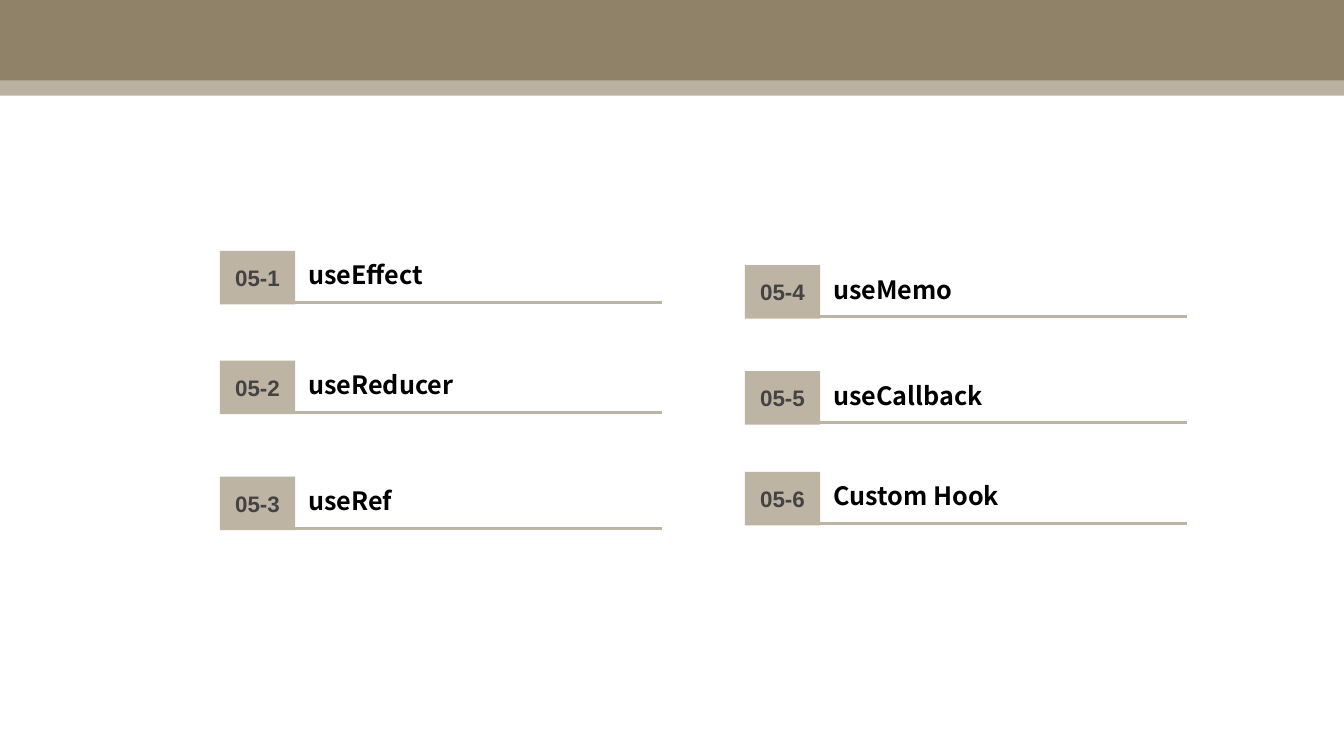
from dataclasses import dataclass

import pptx
import pptx.dml.color
import pptx.enum.shapes
import pptx.enum.text
import pptx.oxml.ns
import pptx.oxml.xmlchemy
import pptx.shapes.autoshape
import pptx.shapes.group
import pptx.slide
import pptx.text.text
import pptx.util

Cm = pptx.util.Cm
Color = pptx.dml.color.RGBColor
RECT = pptx.enum.shapes.MSO_SHAPE.RECTANGLE
ALIGN = pptx.enum.text.PP_ALIGN
WIDTH, HEIGHT = 33.87, 19.05


@dataclass(frozen=True)
class Theme:
    band: Color = Color.from_string("908269")
    accent: Color = Color.from_string("BDB4A4")
    number: Color = Color.from_string("434343")
    title: Color = Color.from_string("000000")
    number_font: str = "Arial"
    title_font: str = "Noto Sans CJK KR"
    number_size: int = 16
    title_size: int = 18
    rule: float = 2.25


@dataclass(frozen=True)
class Topic:
    number: str
    title: str
    left: float
    top: float


THEME = Theme()
LEFT, RIGHT = 5.54, 18.77
TOPICS = [
    Topic("05-1", "useEffect", LEFT, 6.32),
    Topic("05-2", "useReducer", LEFT, 9.09),
    Topic("05-3", "useRef", LEFT, 12.01),
    Topic("05-4", "useMemo", RIGHT, 6.68),
    Topic("05-5", "useCallback", RIGHT, 9.35),
    Topic("05-6", "Custom Hook", RIGHT, 11.89),
]


def add_block(
    parent: pptx.slide.Slide | pptx.shapes.group.GroupShape,
    left: float, top: float, width: float, height: float, color: Color,
) -> pptx.shapes.autoshape.Shape:
    block = parent.shapes.add_shape(RECT, Cm(left), Cm(top), Cm(width), Cm(height))
    block.shadow.inherit = False
    block.fill.solid()
    block.fill.fore_color.rgb = color
    block.line.fill.background()
    return block


def set_text(
    frame: pptx.text.text.TextFrame, text: str, font: str,
    size: int, color: Color, align: ALIGN,
) -> None:
    frame.text = text
    frame.word_wrap = True
    line = frame.paragraphs[0]
    line.alignment = align
    style = line.runs[0].font
    style.name, style.size, style.bold = font, pptx.util.Pt(size), True
    style.color.rgb = color


def add_bands(slide: pptx.slide.Slide) -> None:
    add_block(slide, 0, 0, WIDTH, 2.03, THEME.band)
    strip = add_block(slide, 0, 1.65, WIDTH, 0.76, THEME.band)
    tint = strip.element.find(".//" + pptx.oxml.ns.qn("a:srgbClr"))
    alpha = pptx.oxml.xmlchemy.OxmlElement("a:alpha")
    alpha.set("val", "62000")
    tint.append(alpha)


def add_topic(slide: pptx.slide.Slide, topic: Topic) -> None:
    group = slide.shapes.add_group_shape()
    badge = add_block(group, topic.left, topic.top, 1.9, 1.35, THEME.accent)
    set_text(badge.text_frame, topic.number, THEME.number_font,
             THEME.number_size, THEME.number, ALIGN.CENTER)
    badge.text_frame.vertical_anchor = pptx.enum.text.MSO_ANCHOR.MIDDLE

    label = group.shapes.add_textbox(
        Cm(topic.left + 1.98), Cm(topic.top + 0.1), Cm(11.05), Cm(1.02))
    set_text(label.text_frame, topic.title, THEME.title_font,
             THEME.title_size, THEME.title, ALIGN.LEFT)
    label.text_frame.auto_size = pptx.enum.text.MSO_AUTO_SIZE.SHAPE_TO_FIT_TEXT

    start, level = topic.left + 1.88, topic.top + 1.3
    rule = group.shapes.add_connector(
        pptx.enum.shapes.MSO_CONNECTOR.STRAIGHT,
        Cm(start), Cm(level), Cm(start + 9.27), Cm(level))
    rule.line.color.rgb = THEME.accent
    rule.line.width = pptx.util.Pt(THEME.rule)
    rule.element.spPr.append(pptx.oxml.xmlchemy.OxmlElement("a:effectLst"))


def main() -> None:
    deck = pptx.Presentation()
    deck.slide_width, deck.slide_height = Cm(WIDTH), Cm(HEIGHT)
    slide = deck.slides.add_slide(deck.slide_layouts[6])
    add_bands(slide)
    for topic in TOPICS:
        add_topic(slide, topic)
    deck.save("out.pptx")


if __name__ == "__main__":
    main()
